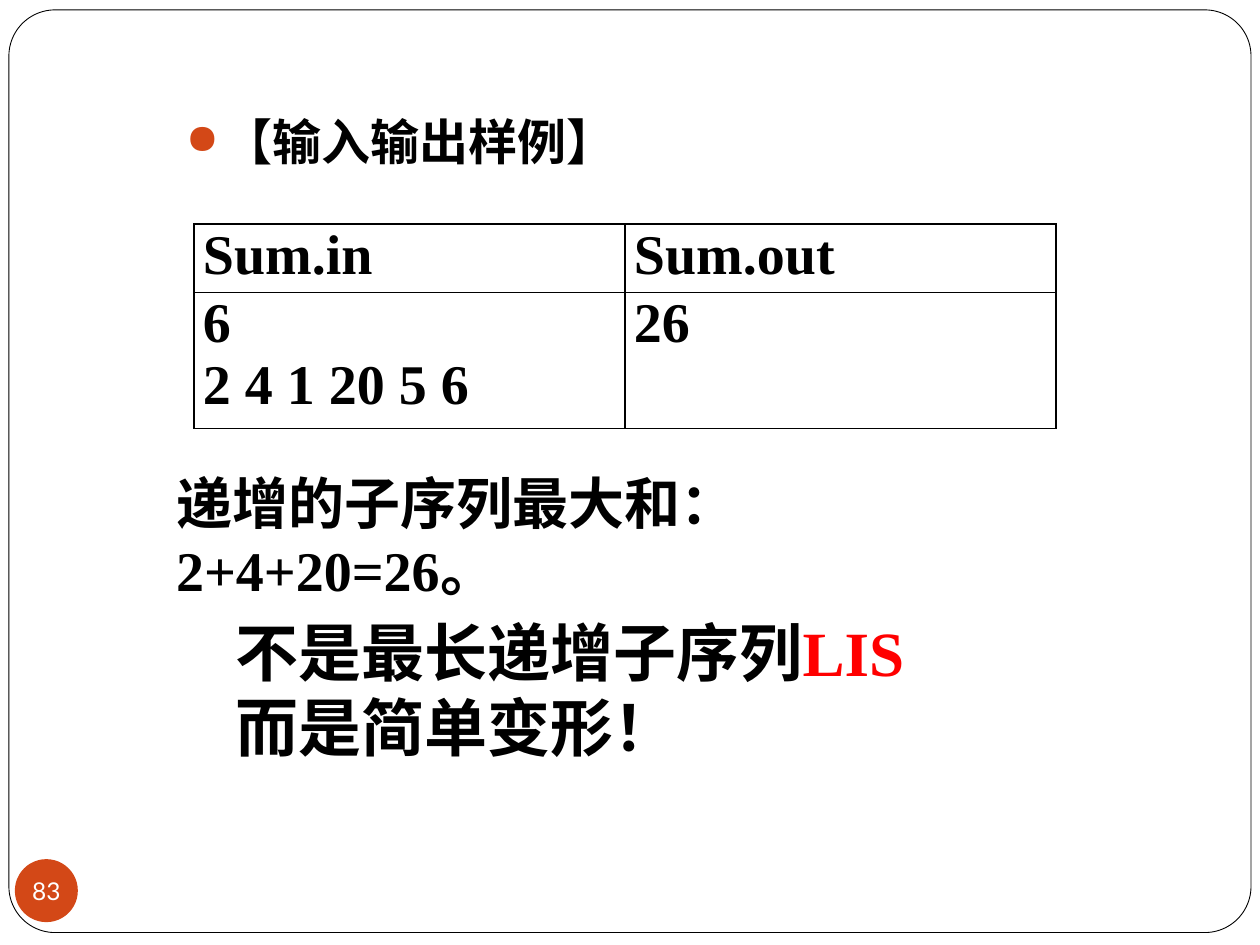
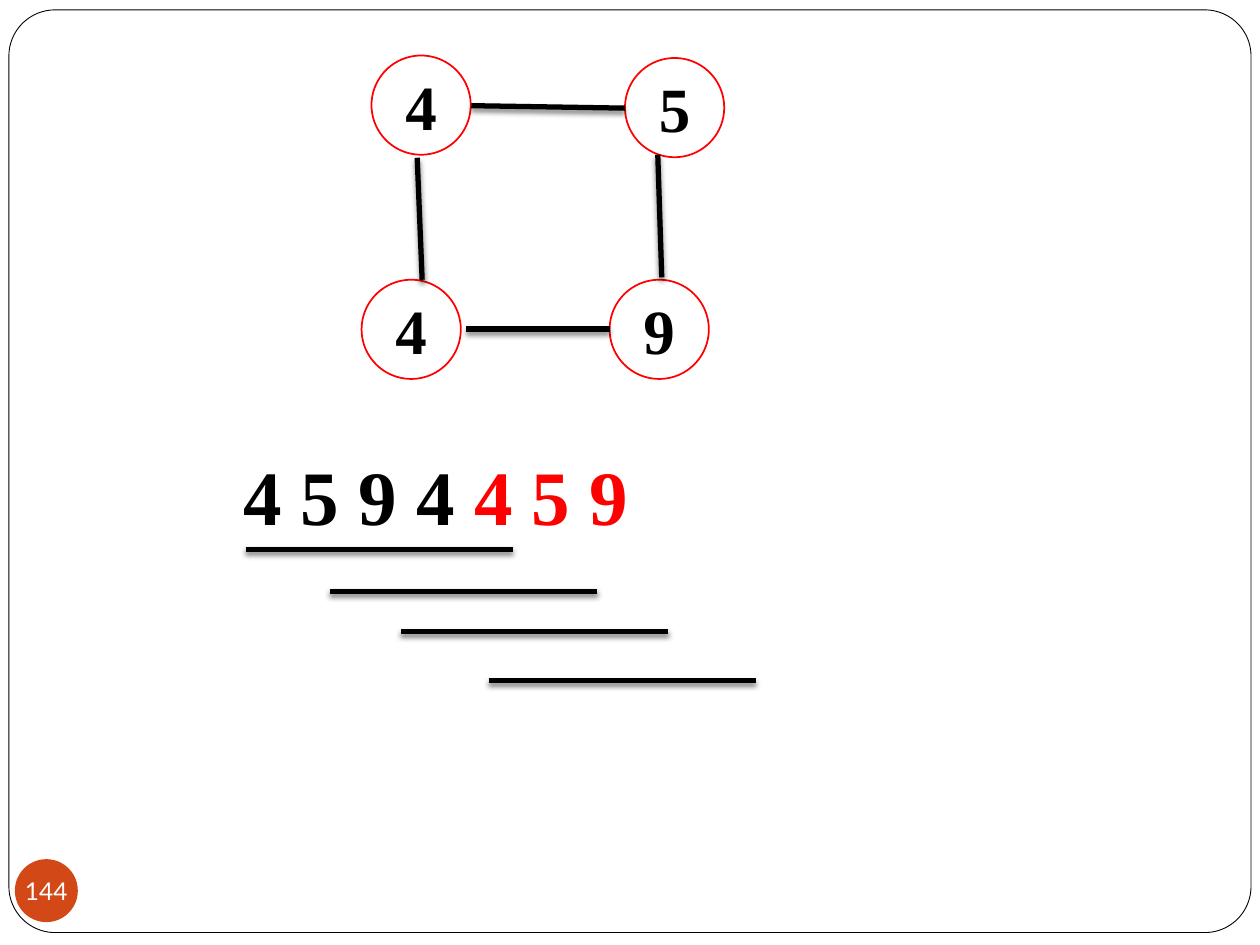
import pptx
import pptx.util
import pptx.dml.color
import pptx.enum.shapes
import pptx.enum.text
import pptx.oxml
import pptx.oxml.ns

Cm = pptx.util.Cm
Pt = pptx.util.Pt
RGB = pptx.dml.color.RGBColor.from_string
SHAPE = pptx.enum.shapes.MSO_SHAPE
ALIGN = pptx.enum.text.PP_ALIGN
ANCHOR = pptx.enum.text.MSO_ANCHOR
NS = pptx.oxml.ns.nsdecls("a")


class Theme:
    ink, paper, accent, mark = "000000", "FFFFFF", "D34817", "FF0000"
    serif, sans = "Times New Roman", "Lato"
    page, lead, body, large, huge = 14, 28, 32, 36, 44
    thin, ring, bar = 0.5, 1, 3


def put(obj, **vals):
    for name, val in vals.items():
        setattr(obj, name, val)


def add_xml(parent, tag, inner="", **attrs):
    text = " ".join(f'{name}="{val}"' for name, val in attrs.items())
    parent.append(pptx.oxml.parse_xml(f"<a:{tag} {NS} {text}>{inner}</a:{tag}>"))


def solid(color):
    return f'<a:solidFill><a:srgbClr val="{color}"/></a:solidFill>'


def write(frame, paras, size, name=Theme.serif, bold=True, align=ALIGN.LEFT):
    for i, runs in enumerate(paras):
        para = frame.add_paragraph() if i else frame.paragraphs[0]
        para.alignment = align
        for text, color in runs:
            run = para.add_run()
            run.text = text
            put(run.font, size=Pt(size), name=name, bold=bold)
            run.font.color.rgb = RGB(color)


def add_text(shapes, box, paras, size):
    frame = shapes.add_textbox(*map(Cm, box)).text_frame
    frame.word_wrap = True
    write(frame, paras, size)
    return frame


def add_form(shapes, kind, box, fill=None, line=None, width=Theme.ring):
    form = shapes.add_shape(kind, *map(Cm, box))
    form.shadow.inherit = False
    if fill:
        form.fill.solid()
        form.fill.fore_color.rgb = RGB(fill)
    else:
        form.fill.background()
    if line:
        form.line.color.rgb = RGB(line)
        form.line.width = Pt(width)
    else:
        form.line.fill.background()
    return form


def add_bar(shapes, start, end):
    bar = shapes.add_connector(
        pptx.enum.shapes.MSO_CONNECTOR.STRAIGHT, *map(Cm, start + end))
    bar.line.color.rgb = RGB(Theme.ink)
    bar.line.width = Pt(Theme.bar)
    shade = (f'<a:outerShdw blurRad="{Pt(3)}" dist="{Pt(2)}" dir="5400000" '
             f'rotWithShape="0"><a:srgbClr val="{Theme.ink}">'
             '<a:alpha val="50000"/></a:srgbClr></a:outerShdw>')
    add_xml(bar._element.spPr, "effectLst", shade)


def add_page(deck, number):
    shapes = deck.slides.add_slide(deck.slide_layouts[6]).shapes
    frame = add_form(shapes, SHAPE.ROUNDED_RECTANGLE, (0.18, 0.2, 25.04, 18.6),
                     Theme.paper, Theme.ink, Theme.thin)
    frame.adjustments[0] = 0.05
    badge = add_form(shapes, SHAPE.OVAL, (0.3, 17.32, 1.27, 1.27), Theme.accent)
    put(badge.text_frame, margin_left=0, margin_right=0, margin_top=0,
        margin_bottom=0, word_wrap=False, vertical_anchor=ANCHOR.MIDDLE)
    write(badge.text_frame, [[(number, Theme.paper)]], Theme.page,
          Theme.sans, False, ALIGN.CENTER)
    return shapes


def add_lead(shapes, box, text):
    frame = add_text(shapes, box, [[(text, Theme.ink)]], Theme.lead)
    props = frame.paragraphs[0]._p.get_or_add_pPr()
    put_in = {"marL": Cm(0.76), "indent": -Cm(0.76)}
    for name, val in put_in.items():
        props.set(name, str(val))
    add_xml(props, "buClr", f'<a:srgbClr val="{Theme.accent}"/>')
    add_xml(props, "buSzPct", val=85000)
    add_xml(props, "buChar", char="●")


def add_grid(shapes, box, rows, heights):
    grid = shapes.add_table(len(rows), len(rows[0]), *map(Cm, box)).table
    put(grid, first_row=False, horz_banding=False)
    for r, row in enumerate(rows):
        grid.rows[r].height = Cm(heights[r])
        for c, lines in enumerate(row):
            cell = grid.cell(r, c)
            put(cell, margin_left=Cm(0.18), margin_right=Cm(0.18),
                margin_top=0, margin_bottom=0)
            write(cell.text_frame, [[(line, Theme.ink)] for line in lines],
                  Theme.body)
            props = cell._tc.get_or_add_tcPr()
            for side in ("lnL", "lnR", "lnT", "lnB"):
                add_xml(props, side, solid(Theme.ink), w=Pt(1))
            cell.fill.background()


def add_ring(shapes, box, nodes, links):
    left, top, size = box
    for x, y, text in nodes:
        node = add_form(shapes, SHAPE.OVAL, (left + x, top + y, size, size),
                        line=Theme.mark)
        node.text_frame.vertical_anchor = ANCHOR.MIDDLE
        write(node.text_frame, [[(text, Theme.ink)]], Theme.large,
              align=ALIGN.CENTER)
    for x, y, end_x, end_y in links:
        add_bar(shapes, (left + x, top + y), (left + end_x, top + end_y))


def add_spans(shapes, box, runs, steps, length):
    left, top = box[:2]
    group = shapes.add_group_shape().shapes
    add_text(group, box, [runs], Theme.huge)
    for x, y in steps:
        add_bar(group, (left + x, top + y), (left + x + length, top + y))


def sample_page(deck):
    shapes = add_page(deck, "83")
    add_lead(shapes, (3.5, 2.13, 11, 2), "【输入输出样例】")
    add_grid(shapes, (3.91, 4.52, 17.38, 4.12),
             [[["Sum.in"], ["Sum.out"]], [["6", "2 4 1 20 5 6"], ["26"]]],
             [1.38, 2.74])
    claim = add_text(shapes, (3.3, 9.32, 18.52, 1.63),
                     [[("递增的子序列最大和：", Theme.ink)]], Theme.body)
    claim.paragraphs[0].add_line_break()
    write(claim, [[("2+4+20=26。", Theme.ink)]], Theme.body)
    add_text(shapes, (4.5, 12.24, 14.6, 3.33),
             [[("不是最长递增子序列", Theme.ink), ("LIS", Theme.mark)],
              [("而是简单变形！", Theme.ink)]], Theme.large)


def ring_page(deck):
    shapes = add_page(deck, "144")
    add_ring(shapes, (7.29, 1.12, 2),
             [(0.2, 0, "4"), (5.31, 0.05, "5"), (5, 4.52, "9"), (0, 4.52, "4")],
             [(2.21, 1.01, 5.31, 1.06), (1.12, 2.06, 1.22, 4.52),
              (5.97, 2, 6.05, 4.47), (2.11, 5.51, 5, 5.51)])
    add_spans(shapes, (4.65, 8.92, 12.8, 2.13),
              [("4 5 9 4 ", Theme.ink), ("4 5 9", Theme.mark)],
              [(0.3, 2.15), (2, 3), (3.43, 3.81), (5.2, 4.8)], 5.39)


def main():
    deck = pptx.Presentation()
    put(deck, slide_width=Cm(25.4), slide_height=Cm(19.05))
    sample_page(deck)
    ring_page(deck)
    deck.save("out.pptx")


if __name__ == "__main__":
    main()
